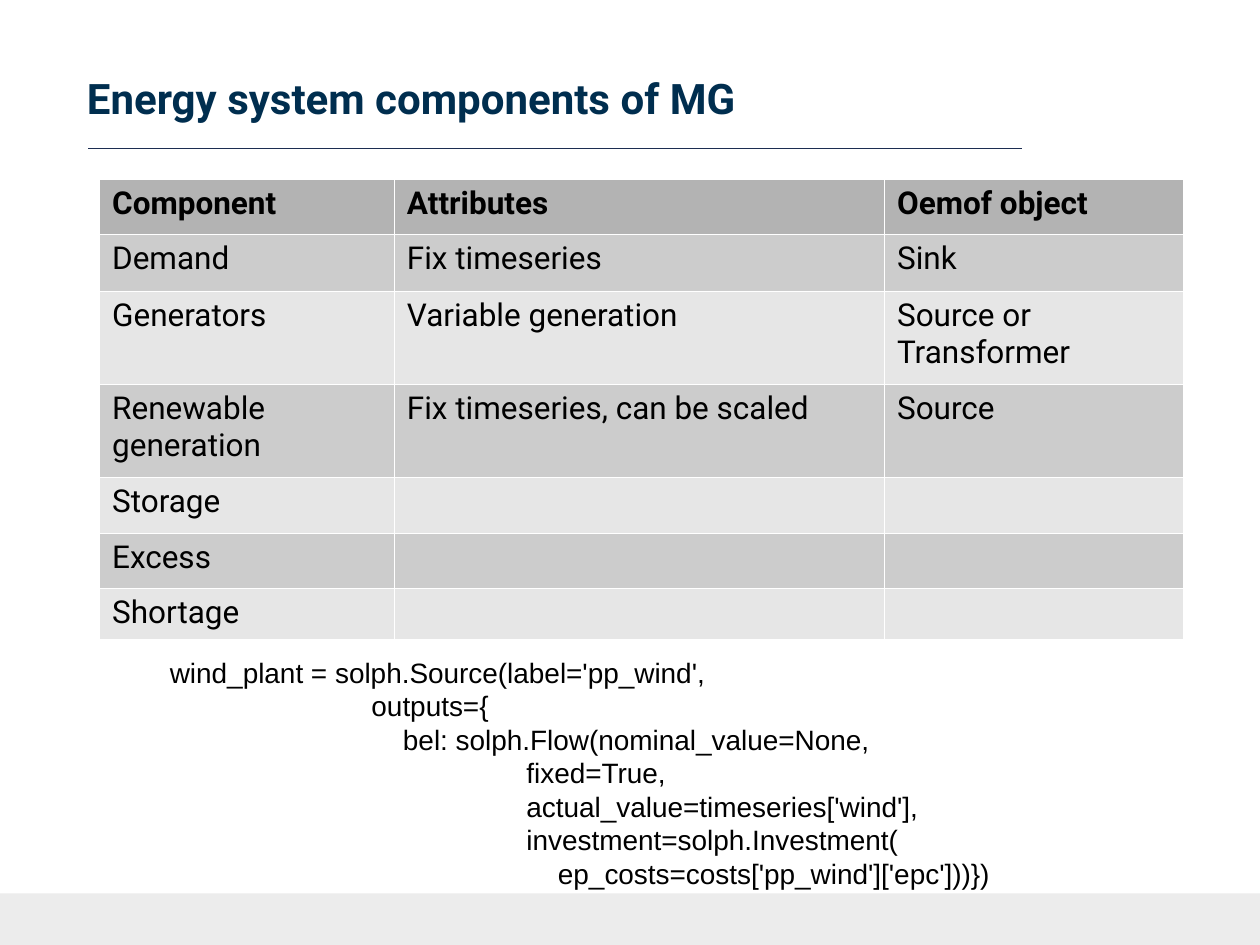
from dataclasses import dataclass

from lxml import etree
from pptx import Presentation
from pptx.dml.color import RGBColor
from pptx.enum import shapes, text
from pptx.oxml import ns
from pptx.util import Inches, Pt


@dataclass(frozen=True)
class Theme:
    heading: str = "002E4F"
    rule: str = "1C2D51"
    footer: str = "ECECEC"
    ink: str = "000000"
    border: str = "FFFFFF"
    header_row: str = "B3B3B3"
    bands: tuple = ("CCCCCC", "E6E6E6")
    body_font: str = "Roboto"
    code_font: str = "Arial"
    title_size: int = 24
    table_size: int = 18
    code_size: int = 16


THEME = Theme()

COLUMN_WIDTHS = (2.34, 3.89, 2.37)
ROW_HEIGHTS = (0.44, 0.45, 0.74, 0.74, 0.44, 0.44, 0.4)
COMPONENTS = (
    ("Component", "Attributes", "Oemof object"),
    ("Demand", "Fix timeseries", "Sink"),
    ("Generators", "Variable generation", "Source or Transformer"),
    ("Renewable generation", "Fix timeseries, can be scaled", "Source"),
    ("Storage", "", ""),
    ("Excess", "", ""),
    ("Shortage", "", ""),
)

# Indent in inches, then the line of code
CODE = (
    (0, "wind_plant = solph.Source(label='pp_wind',"),
    (1.6, "outputs={"),
    (1.85, "bel: solph.Flow(nominal_value=None,"),
    (2.83, "fixed=True,"),
    (2.83, "actual_value=timeseries['wind'],"),
    (2.83, "investment=solph.Investment("),
    (3.08, "ep_costs=costs['pp_wind']['epc']))})"),
)


def rgb(color):
    return RGBColor.from_string(color)


def style(paragraph, font, size, color, bold=False):
    paragraph.font.name = font
    paragraph.font.size = Pt(size)
    paragraph.font.bold = bold
    paragraph.font.color.rgb = rgb(color)


def add_title(slide, wording):
    title = slide.shapes.title
    title.left, title.top = Inches(0.69), Inches(0.38)
    title.width, title.height = Inches(8.62), Inches(0.79)
    frame = title.text_frame
    frame.text = wording
    frame.auto_size = text.MSO_AUTO_SIZE.NONE
    frame.vertical_anchor = text.MSO_ANCHOR.MIDDLE
    frame.margin_left, frame.margin_right = 0, Inches(0.13)
    frame.margin_top = frame.margin_bottom = Inches(0.07)
    heading = frame.paragraphs[0]
    heading.alignment = text.PP_ALIGN.LEFT
    style(heading, THEME.body_font, THEME.title_size, THEME.heading, bold=True)


def add_footer_band(slide):
    band = slide.shapes.add_shape(shapes.MSO_SHAPE.RECTANGLE, 0, Inches(7.09), Inches(10), Inches(0.41))
    band.shadow.inherit = False
    band.fill.solid()
    band.fill.fore_color.rgb = rgb(THEME.footer)
    band.line.fill.background()


def add_title_rule(slide):
    rule = slide.shapes.add_connector(
        shapes.MSO_CONNECTOR.STRAIGHT, Inches(0.7), Inches(1.18), Inches(8.11), Inches(1.18))
    rule.line.color.rgb = rgb(THEME.rule)
    rule.line.width = Pt(0.5)
    etree.SubElement(rule.element.spPr, ns.qn("a:effectLst"))


def border_cell(cell):
    properties = cell._tc.get_or_add_tcPr()
    for position, side in enumerate(("a:lnL", "a:lnR", "a:lnT", "a:lnB")):
        edge = etree.Element(ns.qn(side), w=str(Pt(0.06)))
        fill = etree.SubElement(edge, ns.qn("a:solidFill"))
        etree.SubElement(fill, ns.qn("a:srgbClr"), val=THEME.border)
        properties.insert(position, edge)


def add_component_table(slide):
    table = slide.shapes.add_table(
        len(ROW_HEIGHTS), len(COLUMN_WIDTHS), Inches(0.79), Inches(1.42),
        Inches(sum(COLUMN_WIDTHS)), Inches(sum(ROW_HEIGHTS))).table
    for column, width in zip(table.columns, COLUMN_WIDTHS):
        column.width = Inches(width)
    for index, (row, height, entries) in enumerate(zip(table.rows, ROW_HEIGHTS, COMPONENTS)):
        row.height = Inches(height)
        is_header = index == 0
        fill = THEME.header_row if is_header else THEME.bands[(index - 1) % 2]
        for cell, entry in zip(row.cells, entries):
            cell.text = entry
            cell.fill.solid()
            cell.fill.fore_color.rgb = rgb(fill)
            border_cell(cell)
            style(cell.text_frame.paragraphs[0], THEME.body_font, THEME.table_size,
                  THEME.ink, bold=is_header)


def add_code(slide):
    frame = slide.shapes.add_textbox(Inches(1.25), Inches(5.15), Inches(7.56), Inches(2.34)).text_frame
    frame.word_wrap = True
    frame.text = "\n".join(line for _, line in CODE)
    for paragraph, (indent, _) in zip(frame.paragraphs, CODE):
        style(paragraph, THEME.code_font, THEME.code_size, THEME.ink)
        paragraph._p.get_or_add_pPr().set("marL", str(Inches(indent)))


def main():
    deck = Presentation()
    deck.slide_width, deck.slide_height = Inches(10), Inches(7.5)
    slide = deck.slides.add_slide(deck.slide_layouts[5])  # title only

    # Page frame
    add_footer_band(slide)
    add_title_rule(slide)
    add_title(slide, "Energy system components of MG")

    # Components and the code for one of them
    add_component_table(slide)
    add_code(slide)

    deck.save("out.pptx")


if __name__ == "__main__":
    main()
